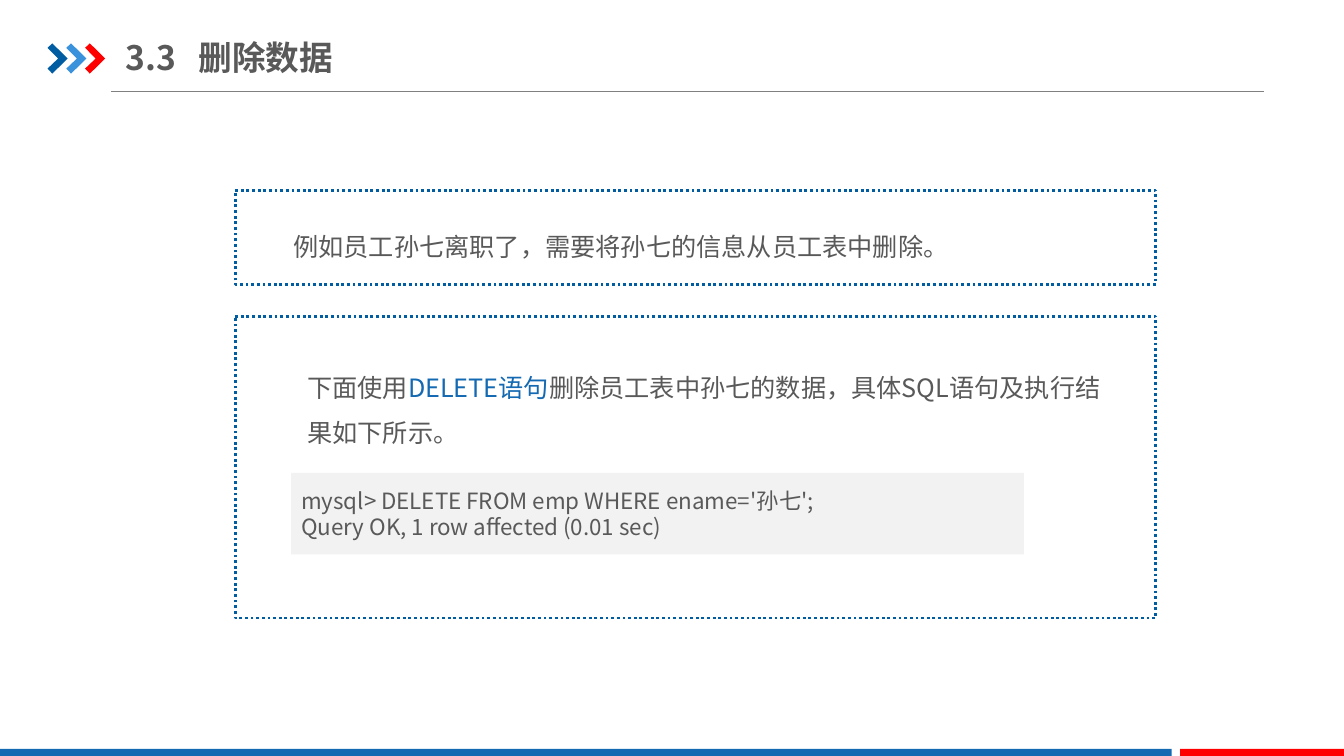
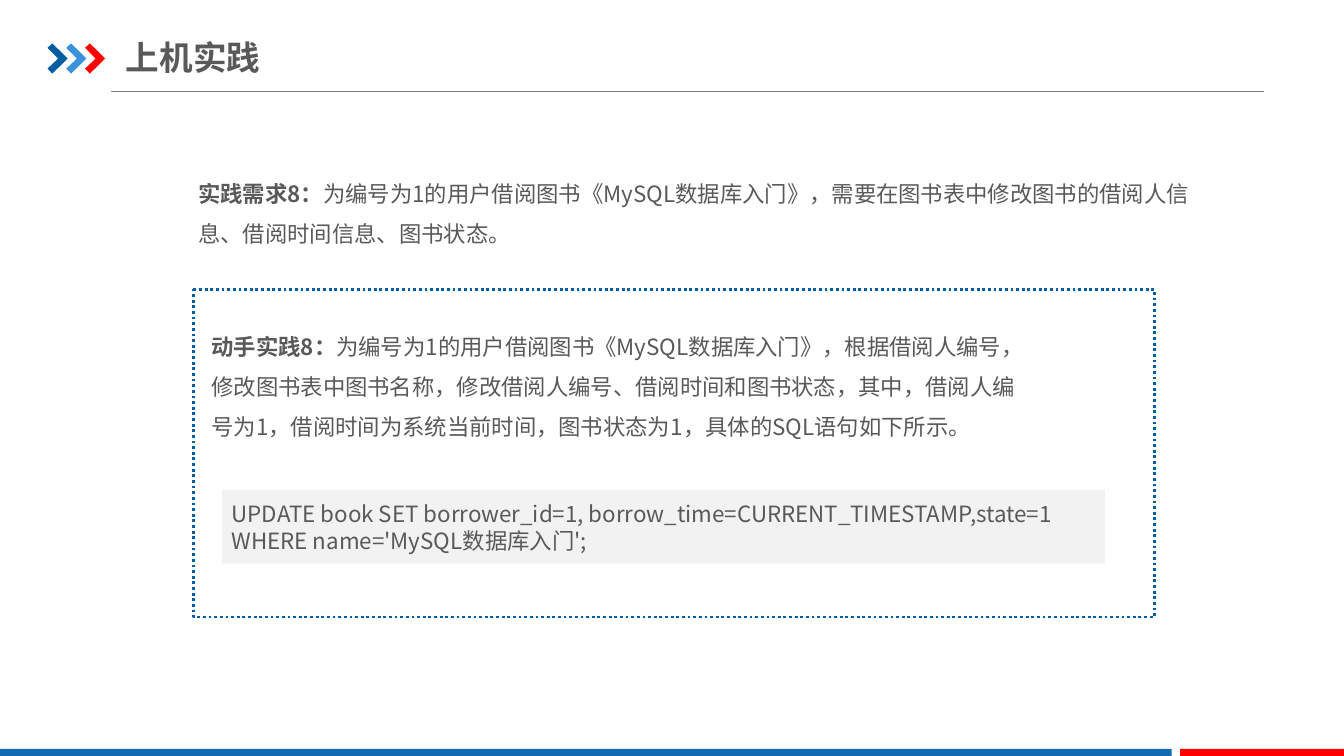
from lxml.etree import SubElement as Sub
from pptx import Presentation
from pptx.dml.color import RGBColor as Rgb
from pptx.enum.dml import MSO_LINE as Dash
from pptx.enum.shapes import MSO_CONNECTOR as Link, MSO_SHAPE as Form
from pptx.enum.text import MSO_ANCHOR as Anchor, MSO_AUTO_SIZE as Fit, PP_ALIGN as Align
from pptx.oxml.ns import qn
from pptx.util import Pt

FONT = "Noto Sans CJK SC"
COLOR = {
    "navy": "005DA2",
    "sky": "3992DB",
    "red": "FF0000",
    "blue": "1369B2",
    "rule": "808080",
    "text": "595959",
    "panel": "F2F2F2",
    "white": "FFFFFF",
}
ARROW = [(0, 3.2), (3.4, 0), (14.4, 10.8), (3.4, 21.6), (0, 18), (7.6, 10.8)]


def hue(name):
    return Rgb.from_string(COLOR[name])


def paint(shape, fill):
    shape.shadow.inherit = False
    shape.fill.solid()
    shape.fill.fore_color.rgb = hue(fill)
    shape.line.fill.background()


def style(shape, size):
    for para in shape.text_frame.paragraphs:
        para.alignment = Align.LEFT
        for run in para.runs:
            font = run.font
            font.size = Pt(size)
            font.name = FONT
            if font.color.type is None:
                font.color.rgb = hue("text")
    for props in shape.element.iter(qn("a:rPr")):
        Sub(props, qn("a:ea"), typeface=FONT)


def block(shapes, form, box, fill):
    shape = shapes.add_shape(form, *map(Pt, box))
    paint(shape, fill)
    return shape


def frame(shapes, *box):
    line = block(shapes, Form.FLOWCHART_PROCESS, box, "white").line
    line.color.rgb = hue("navy")
    line.width = Pt(2)
    line.dash_style = Dash.ROUND_DOT


def code(shapes, box, text):
    shape = block(shapes, Form.RECTANGLE, box, "panel")
    area = shape.text_frame
    area.text = text
    area.word_wrap = True
    area.vertical_anchor = Anchor.MIDDLE
    style(shape, 16)


def prose(shapes, box, size, parts):
    shape = shapes.add_textbox(*map(Pt, box))
    area = shape.text_frame
    area.word_wrap = True
    area.auto_size = Fit.SHAPE_TO_FIT_TEXT
    para = area.paragraphs[0]
    para.line_spacing = 1.5
    for text, color, bold in parts:
        run = para.add_run()
        run.text = text
        run.font.bold = bold
        run.font.color.rgb = hue(color)
    style(shape, size)


def title(page, text):
    shape = page.shapes.title
    area = shape.text_frame
    area.text = text
    area.word_wrap = True
    area.auto_size = Fit.NONE
    area.vertical_anchor = Anchor.MIDDLE
    area.margin_left = area.margin_right = 0
    area.margin_top = area.margin_bottom = Pt(5)
    style(shape, 24)
    para = area.paragraphs[0]
    para.runs[0].font.bold = True
    if "\t" in text:
        props = next(shape.element.iter(qn("a:pPr")))
        tabs = Sub(props, qn("a:tabLst"))
        Sub(tabs, qn("a:tab"), pos=str(Pt(52)), algn="l")


def rule(shapes):
    line = shapes.add_connector(Link.STRAIGHT, Pt(79.2), Pt(65.5), Pt(903), Pt(65.5))
    line.line.color.rgb = hue("rule")
    line.line.width = Pt(0.75)
    Sub(line.element.spPr, qn("a:effectLst"))
    return line


def arrows(shapes):
    group = shapes.add_group_shape()
    for step, color in enumerate(("navy", "sky", "red")):
        dots = [(Pt(34 + 13.4 * step + x), Pt(31 + y)) for x, y in ARROW]
        path = group.shapes.build_freeform(*dots[0], scale=1.0)
        path.add_line_segments(dots[1:], close=True)
        paint(path.convert_to_shape(), color)
    return group


def theme(layout, shapes):
    for holder in list(layout.placeholders):
        if holder.placeholder_format.idx:
            holder.element.getparent().remove(holder.element)
    head = layout.placeholders[0]
    head.left, head.top, head.width, head.height = map(Pt, (90, 21, 307, 39.6))
    decor = [
        rule(shapes),
        arrows(shapes),
        block(shapes, Form.RECTANGLE, (0, 535, 837, 5), "blue"),
        block(shapes, Form.RECTANGLE, (843, 535, 117, 5), "red"),
    ]
    for shape in decor:
        layout.shapes.element.append(shape.element)


def erase(page):
    title(page, "3.3\t删除数据")
    shapes = page.shapes
    frame(shapes, 168, 136, 657.5, 67)
    prose(shapes, (202.4, 151.2, 591, 72.7), 18, [
        ("例如员工孙七离职了，需要将孙七的信息从员工表中删除。", "text", False),
    ])
    frame(shapes, 168, 226, 657.5, 215.5)
    prose(shapes, (212.4, 251.3, 591, 72.7), 18, [
        ("下面使用", "text", False),
        ("DELETE语句", "blue", False),
        ("删除员工表中孙七的数据，具体SQL语句及执行结果如下所示。", "text", False),
    ])
    code(shapes, (208, 337.7, 523.4, 58.3),
         "mysql> DELETE FROM emp WHERE ename='孙七';\n"
         "Query OK, 1 row affected (0.01 sec)")


def drill(page):
    title(page, "上机实践")
    shapes = page.shapes
    prose(shapes, (134.6, 115.2, 736.6, 65.5), 16, [
        ("实践需求8：", "text", True),
        ("为编号为1的用户借阅图书《MySQL数据库入门》，需要在图书表中修改图书的"
         "借阅人信息、借阅时间信息、图书状态。", "text", False),
    ])
    frame(shapes, 138.2, 206.7, 686.4, 234)
    code(shapes, (158.4, 350, 630.8, 52.6),
         "UPDATE book SET borrower_id=1, borrow_time=CURRENT_TIMESTAMP,state=1\n"
         "WHERE name='MySQL数据库入门';")
    prose(shapes, (144, 224.6, 602.6, 94.3), 16, [
        ("动手实践8：", "text", True),
        ("为编号为1的用户借阅图书《MySQL数据库入门》，根据借阅人编号，"
         "修改图书表中图书名称，修改借阅人编号、借阅时间和图书状态，其中，"
         "借阅人编号为1，借阅时间为系统当前时间，图书状态为1，"
         "具体的SQL语句如下所示。", "text", False),
    ])


def main():
    deck = Presentation()
    deck.slide_width, deck.slide_height = Pt(960), Pt(540)
    layout = deck.slide_layouts[5]
    first, second = [deck.slides.add_slide(layout) for _ in range(2)]
    theme(layout, first.shapes)
    erase(first)
    drill(second)
    deck.save("out.pptx")


if __name__ == "__main__":
    main()
